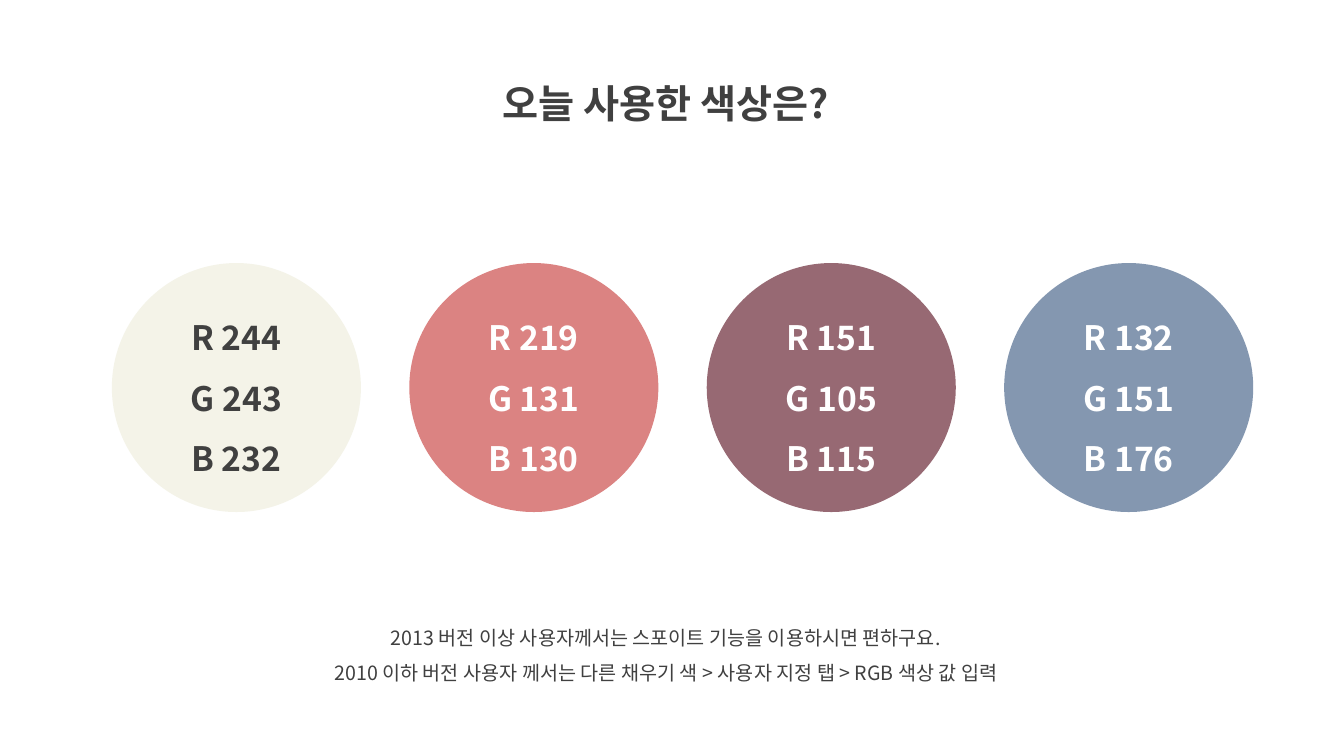
from lxml.etree import SubElement
from pptx import Presentation
from pptx.dml.color import RGBColor
from pptx.enum.shapes import MSO_SHAPE
from pptx.enum.text import MSO_ANCHOR, MSO_AUTO_SIZE, PP_ALIGN
from pptx.oxml.ns import qn
from pptx.util import Inches, Pt

FONT = "Noto Sans CJK KR"
DARK = RGBColor(64, 64, 64)
WHITE = RGBColor(255, 255, 255)
IVORY = RGBColor(244, 243, 232)
CORAL = RGBColor(219, 131, 130)
PLUM = RGBColor(151, 105, 115)
BLUE = RGBColor(132, 151, 176)


def write_lines(text_frame, lines, size, color, bold=False):
    text_frame.word_wrap = True
    text_frame.text = "\n".join(lines)
    for paragraph in text_frame.paragraphs:
        paragraph.alignment = PP_ALIGN.CENTER
        paragraph.line_spacing = 1.5
        paragraph.font.size = Pt(size)
        paragraph.font.bold = bold
        paragraph.font.color.rgb = color
        paragraph.font.name = FONT
        # Korean letters take the East Asian typeface
        properties = paragraph._p.pPr.find(qn("a:defRPr"))
        SubElement(properties, qn("a:ea")).set("typeface", FONT)


presentation = Presentation()
presentation.slide_width = Inches(13.33)
presentation.slide_height = Inches(7.5)
slide = presentation.slides.add_slide(presentation.slide_layouts[6])

# Title
title = slide.shapes.add_textbox(Inches(4.29), Inches(0.5), Inches(4.63), Inches(0.72))
title.text_frame.auto_size = MSO_AUTO_SIZE.SHAPE_TO_FIT_TEXT
write_lines(title.text_frame, ["오늘 사용한 색상은?"], 28, DARK, bold=True)

# Instructions
instructions = slide.shapes.add_textbox(Inches(2.61), Inches(6.04), Inches(7.99), Inches(0.81))
instructions.text_frame.auto_size = MSO_AUTO_SIZE.SHAPE_TO_FIT_TEXT
write_lines(instructions.text_frame, [
    "2013 버전 이상 사용자께서는 스포이트 기능을 이용하시면 편하구요.",
    "2010 이하 버전 사용자 께서는 다른 채우기 색 > 사용자 지정 탭 > RGB 색상 값 입력",
], 14, DARK)

# Colour circles, each labelled with its own RGB values
swatches = [(IVORY, DARK), (CORAL, WHITE), (PLUM, WHITE), (BLUE, WHITE)]
for index, (fill_color, text_color) in enumerate(swatches):
    circle = slide.shapes.add_shape(
        MSO_SHAPE.OVAL, Inches(1.11 + 2.95 * index), Inches(2.61), Inches(2.47), Inches(2.47))
    circle.shadow.inherit = False
    circle.fill.solid()
    circle.fill.fore_color.rgb = fill_color
    circle.line.fill.background()
    circle.text_frame.vertical_anchor = MSO_ANCHOR.MIDDLE
    labels = [f"{channel} {value}" for channel, value in zip("RGB", fill_color)]
    write_lines(circle.text_frame, labels, 24, text_color, bold=True)

presentation.save("out.pptx")
